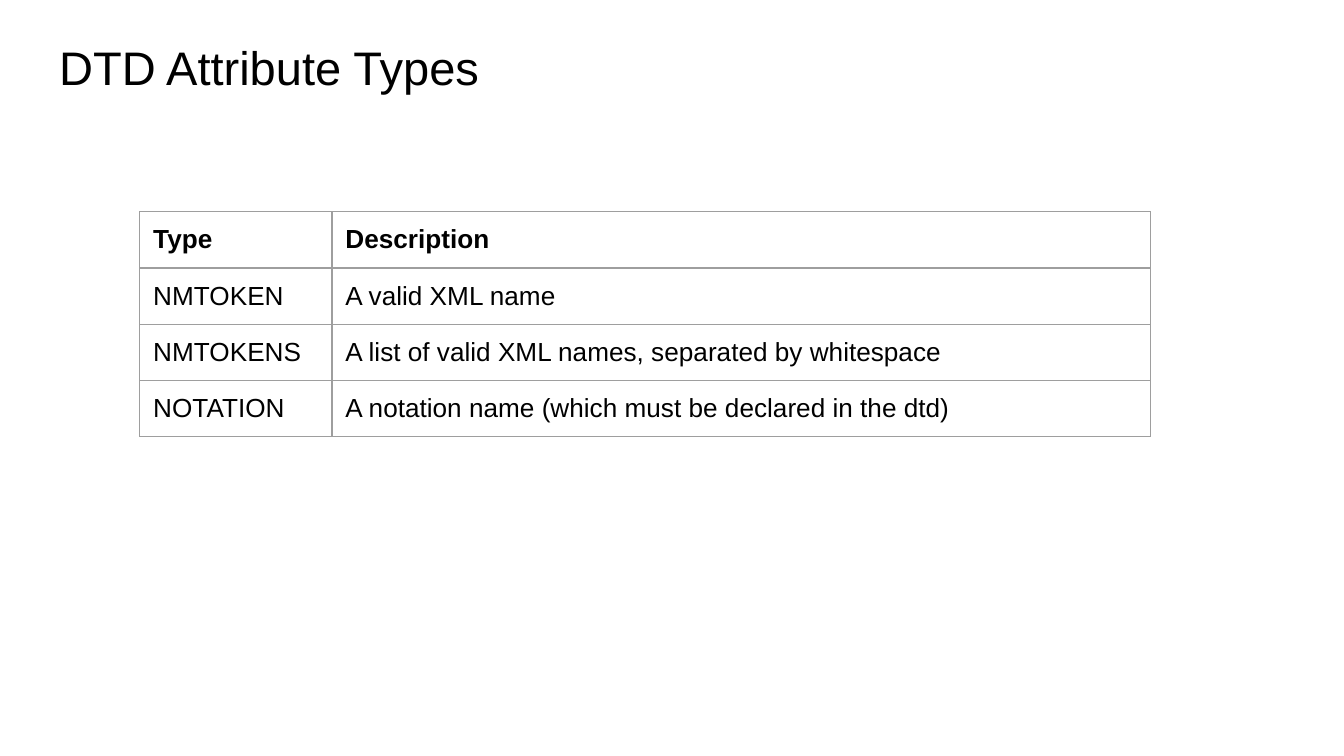
from lxml import etree
from pptx import Presentation
from pptx import util as u
from pptx.dml.color import RGBColor
from pptx.enum import text
from pptx.oxml.ns import qn

PX = 4572  # 200 px to the inch
COLORS = {"background": "FFFFFF", "text": "000000", "border": "9E9E9E"}
FONT = "Arial"
INSET = 20
ROWS = [
    ("Type", "Description"),
    ("NMTOKEN", "A valid XML name"),
    ("NMTOKENS", "A list of valid XML names, separated by whitespace"),
    ("NOTATION", "A notation name (which must be declared in the dtd)"),
]


def px(length):
    return u.Emu(length * PX)


def color(name):
    return RGBColor.from_string(COLORS[name])


def write(frame, words, size, bold=False):
    paragraph = frame.paragraphs[0]
    paragraph.alignment = text.PP_ALIGN.LEFT
    run = paragraph.add_run()
    run.text = words
    run.font.name = FONT
    run.font.size = u.Pt(size)
    run.font.bold = bold
    run.font.color.rgb = color("text")


def set_margins(target):
    """Give a text frame or a table cell equal insets on all sides."""
    for side in ("left", "top", "right", "bottom"):
        setattr(target, f"margin_{side}", px(INSET))


def set_borders(cell):
    properties = cell._tc.get_or_add_tcPr()
    for index, tag in enumerate(("a:lnL", "a:lnR", "a:lnT", "a:lnB")):
        line = etree.Element(qn(tag), w=str(u.Pt(0.75)))
        fill = etree.SubElement(line, qn("a:solidFill"))
        etree.SubElement(fill, qn("a:srgbClr"), val=COLORS["border"])
        properties.insert(index, line)


def place_title(slide, words, left, top, width, height):
    title = slide.shapes.title
    title.left, title.top = px(left), px(top)
    title.width, title.height = px(width), px(height)
    frame = title.text_frame
    frame.word_wrap = True
    frame.auto_size = text.MSO_AUTO_SIZE.NONE
    frame.vertical_anchor = text.MSO_ANCHOR.BOTTOM
    set_margins(frame)
    write(frame, words, 25.2)


def place_table(slide, rows, left, top, column_widths, row_height):
    table = slide.shapes.add_table(
        len(rows), len(column_widths), px(left), px(top),
        px(sum(column_widths)), px(row_height * len(rows))).table
    table.horz_banding = False
    for column, width in zip(table.columns, column_widths):
        column.width = px(width)
    for row_index, row in enumerate(rows):
        for column_index, words in enumerate(row):
            cell = table.cell(row_index, column_index)
            cell.fill.background()
            set_margins(cell)
            set_borders(cell)
            write(cell.text_frame, words, 14, bold=row_index == 0)


def main():
    presentation = Presentation()
    presentation.slide_width, presentation.slide_height = px(2000), px(1125)
    slide = presentation.slides.add_slide(presentation.slide_layouts[5])
    slide.background.fill.solid()
    slide.background.fill.fore_color.rgb = color("background")
    place_title(slide, "DTD Attribute Types", 68, 35, 1864, 126)
    place_table(slide, ROWS, 208, 315, (286, 1218), 76)
    presentation.save("out.pptx")


if __name__ == "__main__":
    main()
